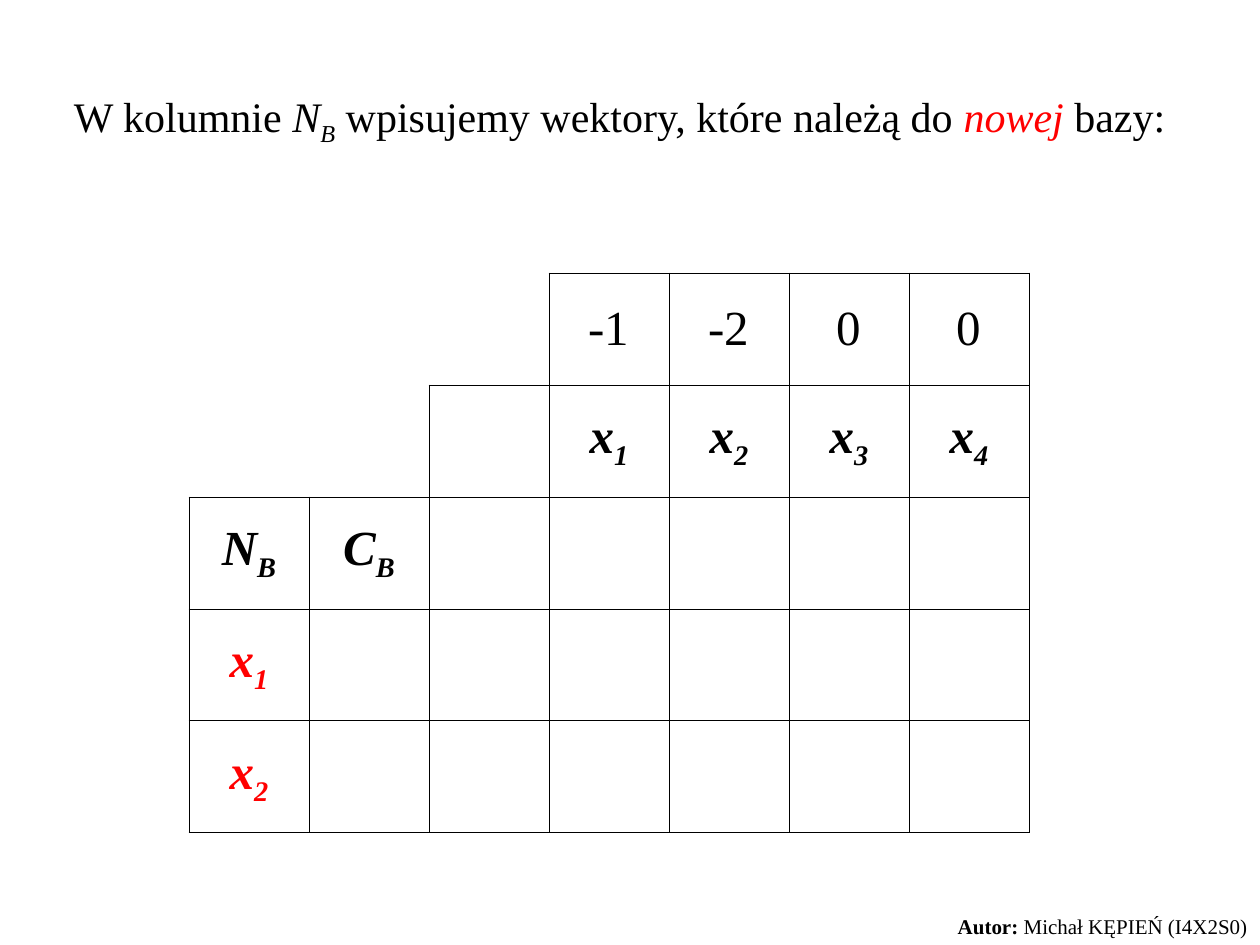
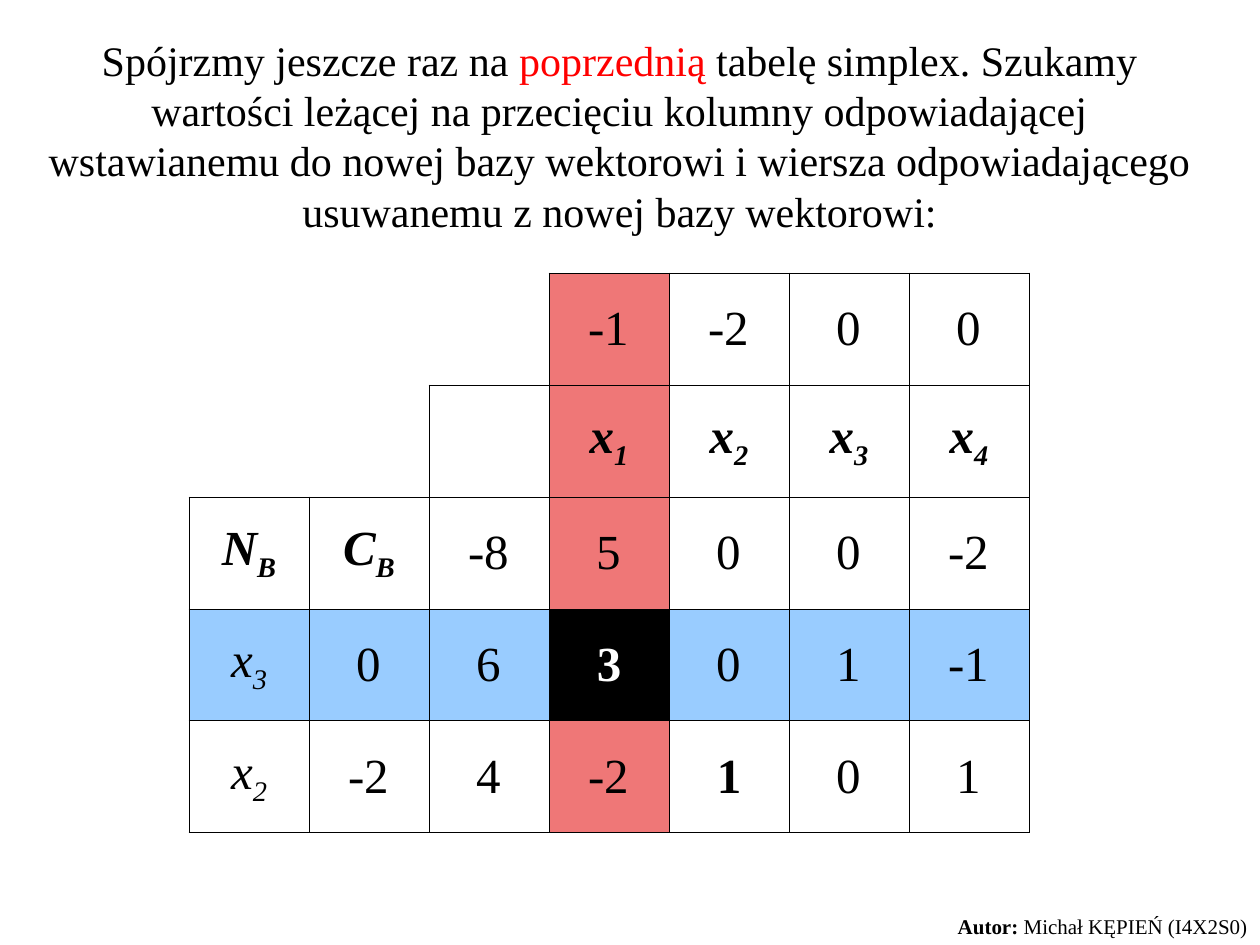
from lxml.etree import SubElement
from pptx import Presentation
from pptx.dml.color import RGBColor as RGB
from pptx.enum.text import MSO_ANCHOR as Anchor, MSO_AUTO_SIZE as Auto, PP_ALIGN as Align
from pptx.oxml.ns import qn
from pptx.util import Pt

# Shared look
FONT = "Times New Roman"
COLORS = {"ink": "000000", "red": "FF0000", "white": "FFFFFF",
          "column": "EF7777", "row": "99CCFF", "pivot": "000000"}
PLAIN_TABLE = "{2D5ABB26-0587-4C30-8999-92F81FD0307C}"
LEFT, TOP, COL, ROW = 108, 156, 480 / 7, 64
OPEN = (3, 2, 0, 0, 0)  # cells without borders at the start of each row
SIDES = {"L": (0, -1), "R": (0, 1), "T": (-1, 0), "B": (1, 0)}


def var(name, style):
    """A letter with its subscript."""
    return [(name[0], style), (name[1:], style + "s")]


# Content: pieces of (text, style), where the style letters are
# b bold, i italic, s subscript, r red, w white
FOOTER = [("Autor:", "b"), (" Michał KĘPIEŃ (I4X2S0)", "")]
HEAD = [
    ["", "", "", "-1", "-2", "0", "0"],
    ["", "", ""] + [var(f"x{n}", "bi") for n in range(1, 5)],
]
BASE = [var("NB", "bi"), var("CB", "bi")]
SLIDES = [
    {
        "title": [("W kolumnie ", ""), *var("NB", "i"),
                  (" wpisujemy wektory, które należą do ", ""),
                  ("nowej", "ir"), (" bazy:", "")],
        "box": (48, 40),
        "body": [
            BASE + [""] * 5,
            [var("x1", "bir")] + [""] * 6,
            [var("x2", "bir")] + [""] * 6,
        ],
        "pivot": None,
    },
    {
        "title": [("Spójrzmy jeszcze raz na ", ""), ("poprzednią", "r"),
                  (" tabelę simplex. Szukamy wartości leżącej na przecięciu "
                   "kolumny odpowiadającej wstawianemu do nowej bazy wektorowi "
                   "i wiersza odpowiadającego usuwanemu z nowej bazy "
                   "wektorowi:", "")],
        "box": (16, 122),
        "body": [
            BASE + ["-8", "5", "0", "0", "-2"],
            [var("x3", "i"), "0", "6", [("3", "bw")], "0", "1", "-1"],
            [var("x2", "i"), "-2", "4", "-2", [("1", "b")], "0", "1"],
        ],
        "pivot": (3, 3),
    },
]


def write(frame, parts, size, align):
    para = frame.paragraphs[0]
    para.alignment = align
    for text, style in parts:
        run = para.add_run()
        run.text = text
        font = run.font
        font.name, font.size = FONT, Pt(size)
        font.bold, font.italic = "b" in style, "i" in style
        tone = "red" if "r" in style else "white" if "w" in style else "ink"
        font.color.rgb = RGB.from_string(COLORS[tone])
        if "s" in style:
            run._r.get_or_add_rPr().set("baseline", "-25000")


def add_text(slide, box, parts, size, align):
    frame = slide.shapes.add_textbox(*map(Pt, box)).text_frame
    frame.word_wrap = True
    frame.auto_size = Auto.SHAPE_TO_FIT_TEXT
    write(frame, parts, size, align)


def framed(row, col):
    return 0 <= row < len(OPEN) and OPEN[row] <= col < 7


def add_edges(cell, row, col):
    """Draw each side that touches a framed cell."""
    props = cell._tc.get_or_add_tcPr()
    for side, (down, right) in SIDES.items():
        line = SubElement(props, qn(f"a:ln{side}"), w=str(Pt(0.45)))
        if framed(row, col) or framed(row + down, col + right):
            fill = SubElement(line, qn("a:solidFill"))
            SubElement(fill, qn("a:srgbClr"), val=COLORS["ink"])
        else:
            SubElement(line, qn("a:noFill"))


def shade(cell, row, col, pivot):
    """Mark the pivot with its column and row."""
    tone = None
    if pivot:
        in_row, in_col = row == pivot[0], col == pivot[1]
        tone = ("pivot" if in_row and in_col else
                "row" if in_row else "column" if in_col else None)
    if tone:
        cell.fill.solid()
        cell.fill.fore_color.rgb = RGB.from_string(COLORS[tone])
    else:
        cell.fill.background()


def add_grid(slide, rows, pivot):
    tall, wide = len(rows), len(rows[0])
    box = map(Pt, (LEFT, TOP, wide * COL, tall * ROW))
    table = slide.shapes.add_table(tall, wide, *box).table
    table.first_row = table.horz_banding = False
    table._tbl.tblPr.find(qn("a:tableStyleId")).text = PLAIN_TABLE
    for r, line in enumerate(rows):
        for c, item in enumerate(line):
            cell = table.cell(r, c)
            cell.vertical_anchor = Anchor.MIDDLE
            add_edges(cell, r, c)
            shade(cell, r, c, pivot)
            if item:
                parts = [(item, "")] if isinstance(item, str) else item
                write(cell.text_frame, parts, 28, Align.CENTER)


def main():
    deck = Presentation()
    deck.slide_width, deck.slide_height = Pt(720), Pt(540)
    for page in SLIDES:
        slide = deck.slides.add_slide(deck.slide_layouts[6])
        top, high = page["box"]
        add_text(slide, (18, top, 672, high), page["title"], 24, Align.CENTER)
        add_grid(slide, HEAD + page["body"], page["pivot"])
        add_text(slide, (528, 518.4, 192, 21.6), FOOTER, 12, Align.RIGHT)
    deck.save("out.pptx")


if __name__ == "__main__":
    main()
